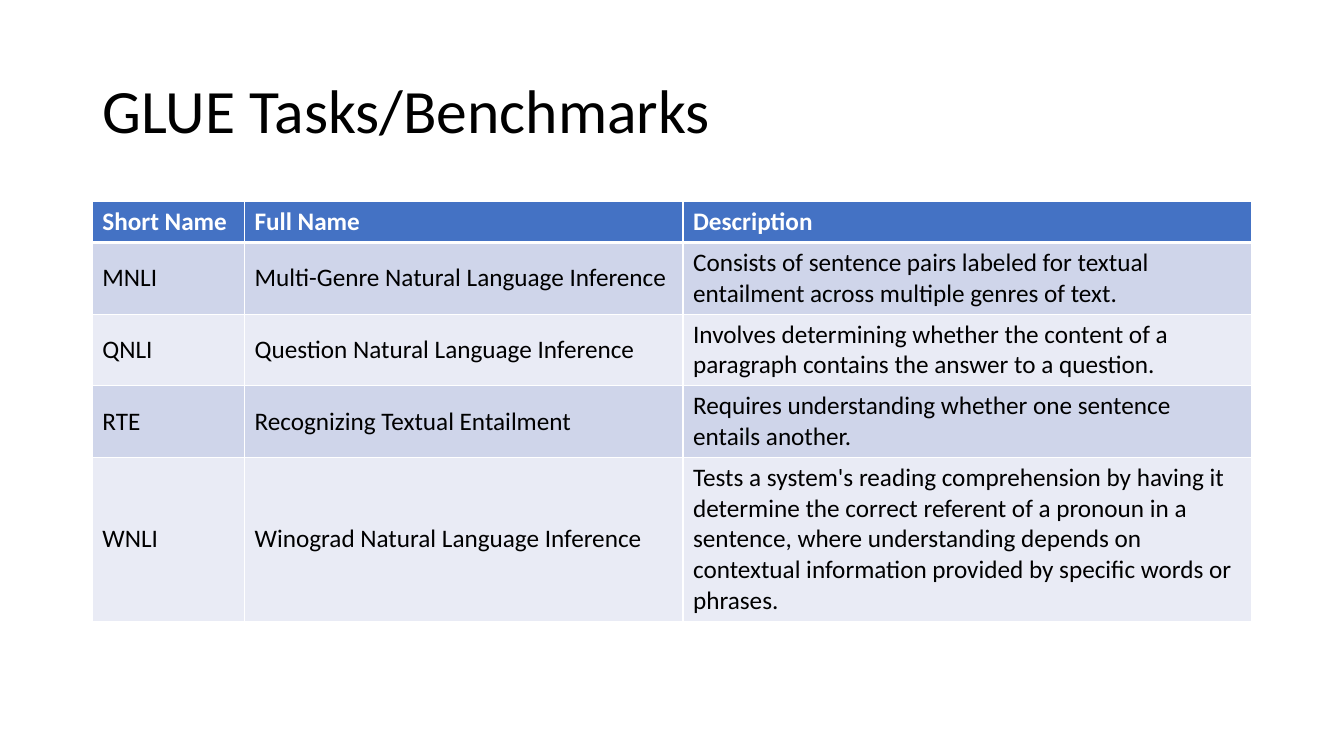
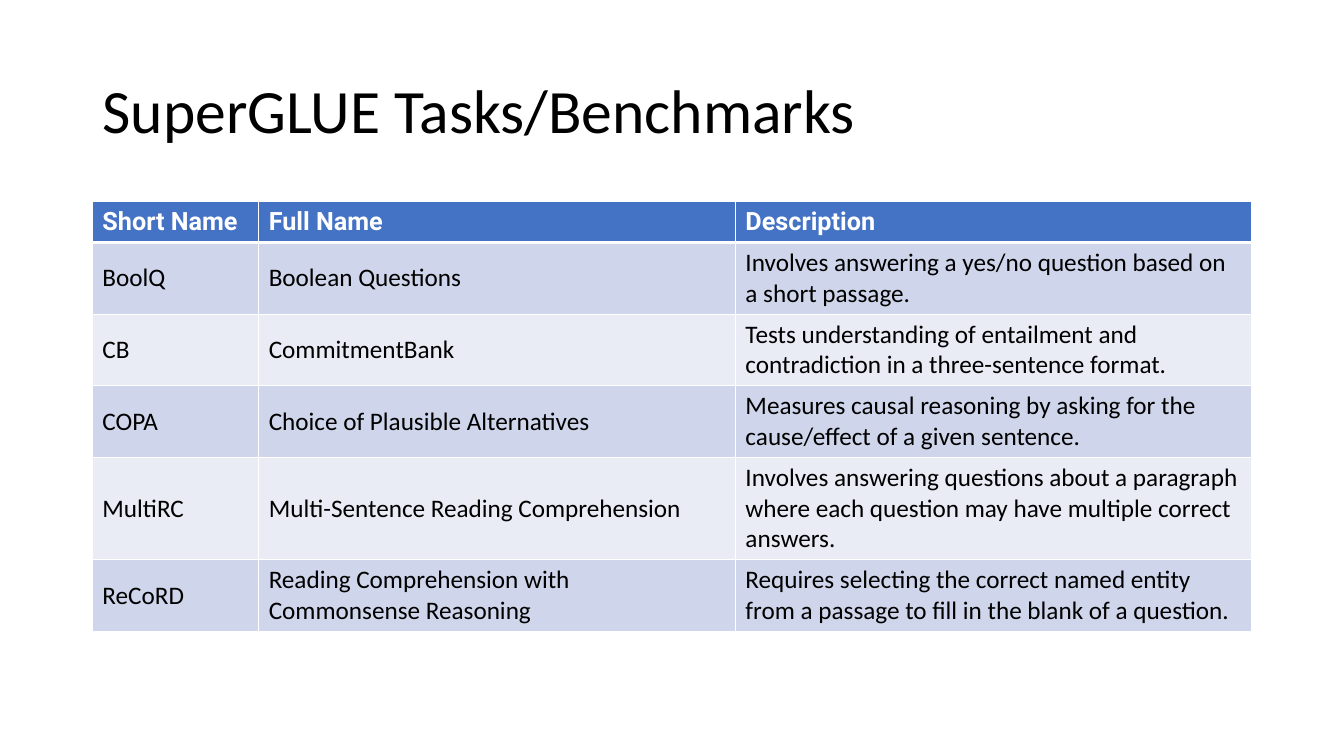
from lxml.etree import SubElement
from pptx import Presentation
from pptx.dml.color import RGBColor
from pptx.enum.text import MSO_ANCHOR, PP_ALIGN
from pptx.oxml.ns import qn
from pptx.util import Inches, Pt

WIDE, HIGH = Inches(13.333), Inches(7.5)
COLS, ROWS = 160, 90
FONT = "Calibri"
INK, PAPER, HEAD = "000000", "FFFFFF", "4472C4"
BANDS = ("CFD5EA", "E9EBF5")
THIN, THICK = 1, 3
TITLE = (11, 4.8, 138, 17.4)
TABLE = (11, 24, 138)
ROW = 4.87
NAMES = ("Short Name", "Full Name", "Description")

GLUE = (
    ("MNLI", "Multi-Genre Natural Language Inference",
     "Consists of sentence pairs labeled for textual entailment across "
     "multiple genres of text."),
    ("QNLI", "Question Natural Language Inference",
     "Involves determining whether the content of a paragraph contains "
     "the answer to a question."),
    ("RTE", "Recognizing Textual Entailment",
     "Requires understanding whether one sentence entails another."),
    ("WNLI", "Winograd Natural Language Inference",
     "Tests a system's reading comprehension by having it determine the "
     "correct referent of a pronoun in a sentence, where understanding "
     "depends on contextual information provided by specific words or "
     "phrases."),
)
SUPER = (
    ("BoolQ", "Boolean Questions",
     "Involves answering a yes/no question based on a short passage."),
    ("CB", "CommitmentBank",
     "Tests understanding of entailment and contradiction in a "
     "three-sentence format."),
    ("COPA", "Choice of Plausible Alternatives",
     "Measures causal reasoning by asking for the cause/effect of a given "
     "sentence."),
    ("MultiRC", "Multi-Sentence Reading Comprehension",
     "Involves answering questions about a paragraph where each question "
     "may have multiple correct answers."),
    ("ReCoRD", "Reading Comprehension with Commonsense Reasoning",
     "Requires selecting the correct named entity from a passage to fill "
     "in the blank of a question."),
)


def across(cols):
    """Turn grid columns into a length."""
    return round(WIDE * cols / COLS)


def down(rows):
    """Turn grid rows into a length."""
    return round(HIGH * rows / ROWS)


def color(code):
    """Turn a hex string into a colour."""
    return RGBColor.from_string(code)


def style(para, size, code, font=FONT, bold=False):
    """Format the runs of a paragraph."""
    for run in para.runs:
        run.font.size = Pt(size)
        run.font.name = font
        run.font.bold = bold
        run.font.color.rgb = color(code)


def edge(cell, top, bottom):
    """Draw the four white borders of a cell."""
    props = cell._tc.get_or_add_tcPr()
    widths = {"L": THIN, "R": THIN, "T": top, "B": bottom}
    for side, width in widths.items():
        line = SubElement(props, qn(f"a:ln{side}"), w=str(Pt(width)))
        fill = SubElement(line, qn("a:solidFill"))
        SubElement(fill, qn("a:srgbClr"), val=PAPER)


def add_title(slide, text, box):
    """Place and format the title in its box."""
    left, top, width, height = box
    title = slide.shapes.title
    title.left, title.top = across(left), down(top)
    title.width, title.height = across(width), down(height)
    frame = title.text_frame
    frame.text = text
    frame.vertical_anchor = MSO_ANCHOR.MIDDLE
    para = frame.paragraphs[0]
    para.alignment = PP_ALIGN.LEFT
    para.line_spacing = 0.9
    style(para, 44, INK)


def add_grid(slide, tasks, shares, box, font, anchor):
    """Place a banded task table in its box."""
    left, top, width = box
    data = (NAMES, *tasks)
    frame = slide.shapes.add_table(
        len(data), len(NAMES), across(left), down(top),
        across(width), down(ROW * len(data)))
    grid = frame.table
    for col, share in zip(grid.columns, shares):
        col.width = across(width * share / sum(shares))
    for i, texts in enumerate(data):
        first = i == 0
        grid.rows[i].height = down(ROW)
        for cell, text in zip(grid.rows[i].cells, texts):
            edge(cell, THICK if i == 1 else THIN, THICK if first else THIN)
            cell.fill.solid()
            cell.fill.fore_color.rgb = color(
                HEAD if first else BANDS[(i - 1) % 2])
            cell.vertical_anchor = anchor if first else MSO_ANCHOR.MIDDLE
            cell.text_frame.text = text
            style(cell.text_frame.paragraphs[0], 18,
                  PAPER if first else INK, font if first else FONT, first)


def add_page(deck, title, tasks, shares, font, anchor):
    """Add one slide with a title and a task table."""
    slide = deck.slides.add_slide(deck.slide_layouts[5])
    slide.background.fill.solid()
    slide.background.fill.fore_color.rgb = color(PAPER)
    add_title(slide, title, TITLE)
    add_grid(slide, tasks, shares, TABLE, font, anchor)


def main():
    """Build and save the deck."""
    deck = Presentation()
    deck.slide_width, deck.slide_height = WIDE, HIGH
    add_page(deck, "GLUE Tasks/Benchmarks", GLUE,
             (1.51, 4.35, 5.64), FONT, MSO_ANCHOR.TOP)
    add_page(deck, "SuperGLUE Tasks/Benchmarks", SUPER,
             (1.65, 4.73, 5.12), "Roboto", MSO_ANCHOR.MIDDLE)
    deck.save("out.pptx")


if __name__ == "__main__":
    main()
